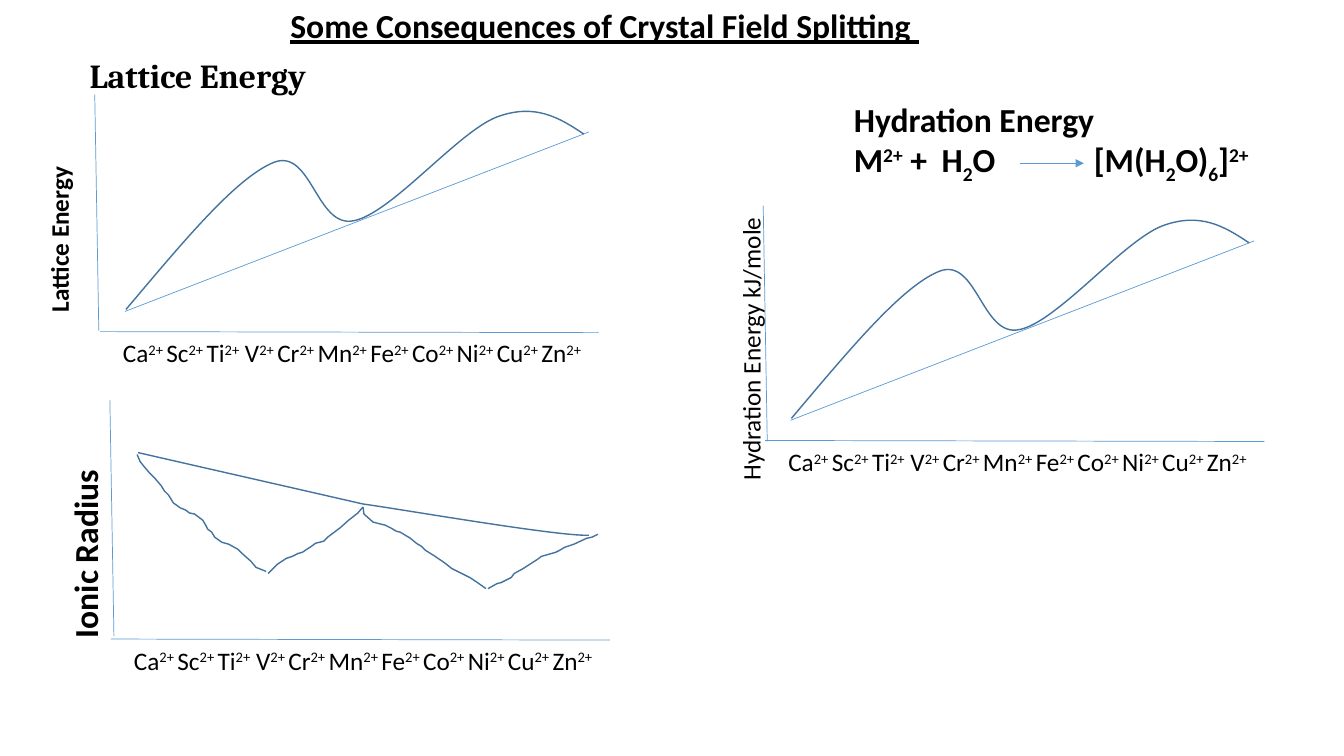
"""Build a slide on the consequences of crystal field splitting."""
from dataclasses import dataclass

from lxml import etree
from pptx import Presentation
from pptx import util as u
from pptx.dml import color
from pptx.enum import shapes, text
from pptx.oxml import ns


@dataclass(frozen=True)
class Theme:
    ink: str = "000000"
    axis: str = "5B9BD5"
    curve: str = "43739E"
    body: str = "Calibri"
    accent: str = "Cambria"
    large: int = 24
    small: int = 18
    thin: float = 0.5
    medium: float = 1
    superscript: int = 30000
    subscript: int = -25000


IONS = ["Ca", "Sc", "Ti", " V", "Cr", "Mn", "Fe", "Co", "Ni", "Cu", "Zn"]

DOUBLE_HUMP = [
    (0.26, -0.22), (0.81, -0.87), (1.35, -1.53), (1.73, -1.68),
    (2.1, -1.82), (2.15, -1.02), (2.52, -1.1),
    (2.89, -1.17), (3.55, -1.98), (3.94, -2.13),
    (4.32, -2.27), (4.56, -2.12), (4.8, -1.96),
]

RADIUS_TREND = [
    (1.37, 4.49), (2.11, 4.66), (2.86, 4.83), (3.6, 5),
    (3.97, 5.05), (5.52, 5.32), (5.84, 5.31),
]

RADIUS_STEPS = [
    [(1.36, 4.51), (1.39, 4.58), (1.43, 4.63), (1.49, 4.7), (1.54, 4.75),
     (1.6, 4.82), (1.63, 4.87), (1.67, 4.91), (1.72, 4.99), (1.79, 5.04),
     (1.84, 5.06), (1.88, 5.09), (1.93, 5.1), (2.01, 5.16), (2.04, 5.21),
     (2.06, 5.25), (2.1, 5.28), (2.13, 5.33), (2.2, 5.38), (2.27, 5.4),
     (2.36, 5.45), (2.4, 5.49), (2.49, 5.57), (2.54, 5.63), (2.64, 5.67)],
    [(2.66, 5.69), (2.75, 5.6), (2.84, 5.54), (2.9, 5.52), (2.96, 5.49),
     (3, 5.48), (3.09, 5.42), (3.13, 5.39), (3.21, 5.37), (3.25, 5.33),
     (3.37, 5.24), (3.46, 5.16), (3.55, 5.09), (3.6, 5.03)],
    [(3.6, 5.03), (3.61, 5.1), (3.7, 5.18), (3.82, 5.21), (3.88, 5.24),
     (3.93, 5.27), (3.97, 5.28), (4.07, 5.34), (4.13, 5.39), (4.18, 5.42),
     (4.22, 5.46), (4.3, 5.51), (4.39, 5.57), (4.43, 5.6), (4.48, 5.64),
     (4.52, 5.66), (4.66, 5.73), (4.75, 5.79), (4.82, 5.84)],
    [(4.84, 5.84), (4.93, 5.79), (4.97, 5.78), (5.07, 5.73), (5.1, 5.69),
     (5.19, 5.64), (5.33, 5.55), (5.37, 5.52), (5.51, 5.48), (5.55, 5.46),
     (5.6, 5.43), (5.69, 5.4), (5.82, 5.34), (5.87, 5.33), (5.93, 5.3)],
]


class Slide:
    def __init__(self, deck, theme):
        self.theme = theme
        self.page = deck.slides.add_slide(deck.slide_layouts[5])

    def fill_text(self, box, paragraphs, size, bold=False, font=None, underline=False, tabs=()):
        frame = box.text_frame
        frame.vertical_anchor = text.MSO_ANCHOR.TOP
        for index, runs in enumerate(paragraphs):
            para = frame.add_paragraph() if index else frame.paragraphs[0]
            para.alignment = text.PP_ALIGN.LEFT
            if tabs and any("\t" in words for words, _ in runs):
                stops = etree.SubElement(para._p.get_or_add_pPr(), ns.qn("a:tabLst"))
                for stop in tabs:
                    etree.SubElement(stops, ns.qn("a:tab"), pos=str(u.Inches(stop)), algn="l")
            for words, baseline in runs:
                span = para.add_run()
                span.text = words
                span.font.name = font or self.theme.body
                span.font.size = u.Pt(size)
                span.font.bold = bold
                span.font.underline = underline
                span.font.color.rgb = color.RGBColor.from_string(self.theme.ink)
                if baseline:
                    span._r.get_or_add_rPr().set("baseline", str(baseline))

    def title(self, words, left, top, width, height):
        box = self.page.shapes.title
        box.left, box.top, box.width, box.height = map(u.Inches, (left, top, width, height))
        box.text_frame.word_wrap = True
        self.fill_text(box, [[(words, 0)]], self.theme.large, bold=True, underline=True)

    def label(self, paragraphs, left, top, width, height, size, wrap=False, rotation=0, **style):
        box = self.page.shapes.add_textbox(*map(u.Inches, (left, top, width, height)))
        box.rotation = rotation
        box.text_frame.word_wrap = wrap
        box.text_frame.auto_size = text.MSO_AUTO_SIZE.SHAPE_TO_FIT_TEXT
        self.fill_text(box, paragraphs, size, **style)

    def line(self, start, end, arrow=False):
        connector = self.page.shapes.add_connector(
            shapes.MSO_CONNECTOR.STRAIGHT, *map(u.Inches, (*start, *end)))
        connector.line.color.rgb = color.RGBColor.from_string(self.theme.axis)
        connector.line.width = u.Pt(self.theme.thin)
        if arrow:
            etree.SubElement(connector.line._get_or_add_ln(), ns.qn("a:tailEnd"), type="triangle")
        etree.SubElement(connector._element.spPr, ns.qn("a:effectLst"))

    def outline(self, points):
        start, *rest = [(u.Inches(x), u.Inches(y)) for x, y in points]
        builder = self.page.shapes.build_freeform(*start)
        builder.add_line_segments(rest, close=False)
        drawn = builder.convert_to_shape()
        drawn.shadow.inherit = False
        drawn.fill.background()
        drawn.line.color.rgb = color.RGBColor.from_string(self.theme.curve)
        drawn.line.width = u.Pt(self.theme.medium)
        return drawn

    def curve(self, controls):
        drawn = self.outline(controls[::3])
        segments = list(drawn._element.iter(ns.qn("a:lnTo")))
        for index, segment in enumerate(segments):
            bend = etree.Element(ns.qn("a:cubicBezTo"))
            for x, y in controls[3 * index + 1:3 * index + 4]:
                etree.SubElement(bend, ns.qn("a:pt"), x=str(u.Inches(x) - drawn.left),
                                 y=str(u.Inches(y) - drawn.top))
            segment.getparent().replace(segment, bend)

    def axes(self, x, y, top_x, top_y):
        self.line((top_x, top_y), (top_x + 0.04, top_y + 2.34))
        self.line((x, y), (x + 4.95, y + 0.01))
        runs = []
        for ion in IONS:
            charge = "2+" if ion in ("Ti", "Zn") else "2+ "
            runs += [(ion, 0), (charge, self.theme.superscript)]
        self.label([runs], x + 0.13, y + 0.01, 5.32, 0.35, self.theme.small)

    def energy_plot(self, x, y, top_x, top_y):
        self.axes(x, y, top_x, top_y)
        self.line((x + 0.25, y - 0.2), (x + 4.85, y - 1.98))
        self.curve([(x + dx, y + dy) for dx, dy in DOUBLE_HUMP])


def main():
    deck = Presentation()
    deck.slide_width, deck.slide_height = u.Inches(13.33), u.Inches(7.5)
    theme = Theme()
    slide = Slide(deck, theme)
    up, down = theme.superscript, theme.subscript

    slide.title("Some Consequences of Crystal Field Splitting ", 2.78, 0, 6.72, 0.77)
    slide.label([[("Lattice Energy", 0)]], 0.79, 0.5, 3.17, 0.43, theme.large,
                wrap=True, bold=True, font=theme.accent)

    slide.energy_plot(7.59, 4.37, 7.57, 2.04)
    equation = [("M", 0), ("2+", up), (" +\tH", 0), ("2", down), ("O\t[M(H", 0),
                ("2", down), ("O)", 0), ("6", down), ("]", 0), ("2+", up)]
    slide.label([[("Hydration Energy", 0)], equation], 8.37, 0.93, 4.49, 1.1, theme.large,
                wrap=True, bold=True, tabs=(0.87, 2.38))
    slide.line((10.12, 1.62), (10.75, 1.62), arrow=True)
    slide.label([[("Hydration Energy kJ/mole", 0)]], 5.88, 3.15, 3.08, 0.35, theme.small,
                rotation=270)

    slide.energy_plot(0.99, 3.29, 0.94, 0.94)
    slide.label([[("Lattice Energy", 0)]], -0.31, 2.15, 1.74, 0.35, theme.small,
                rotation=270, bold=True)

    slide.label([[("Ionic Radius", 0)]], -0.22, 5.19, 2.05, 0.43, theme.large,
                rotation=270, bold=True)
    slide.axes(1.1, 6.34, 1.09, 3.97)
    for steps in RADIUS_STEPS:
        slide.outline(steps)
    slide.curve(RADIUS_TREND)

    deck.save("out.pptx")


if __name__ == "__main__":
    main()
